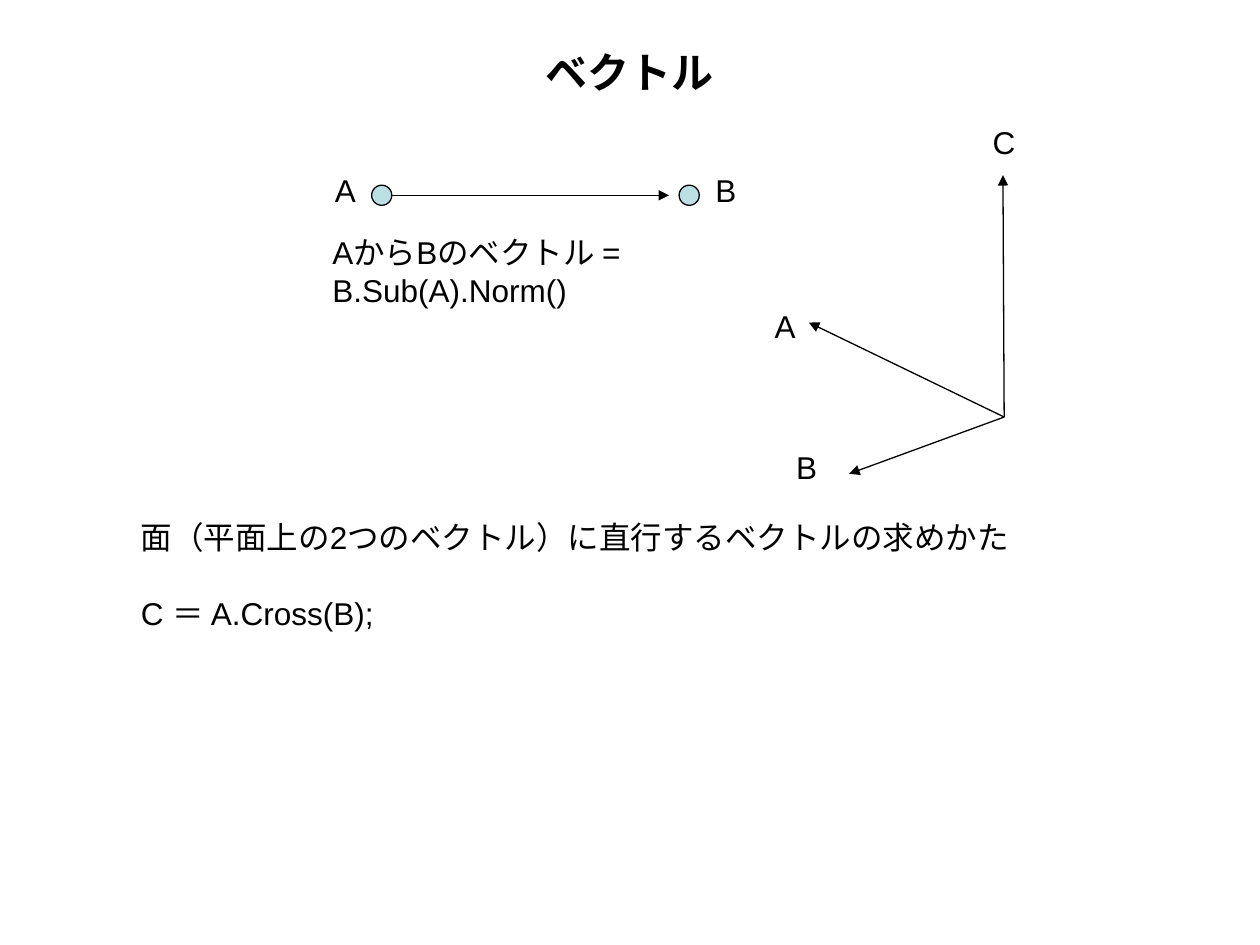
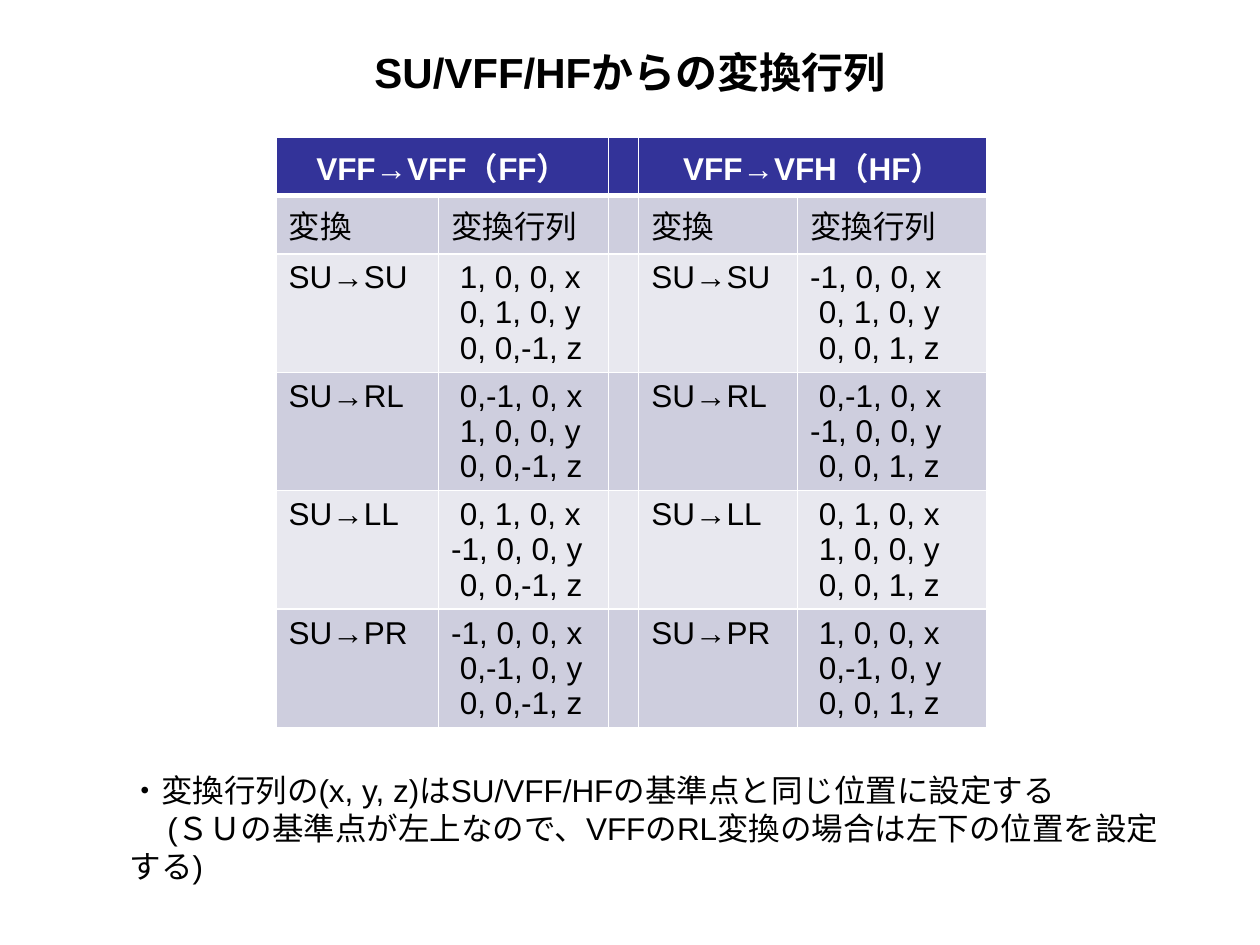
from dataclasses import dataclass

from lxml.etree import SubElement
from pptx import Presentation
from pptx.dml.color import RGBColor
from pptx.enum.shapes import MSO_CONNECTOR, MSO_SHAPE
from pptx.enum.text import MSO_ANCHOR, PP_ALIGN
from pptx.oxml.ns import qn
from pptx.slide import Slide
from pptx.table import Table, _Cell
from pptx.text.text import TextFrame, _Paragraph
from pptx.util import Inches, Length, Pt

FONT = "Arial"
BLACK, WHITE, POINT_FILL = "000000", "FFFFFF", "BBE0E3"
HEADER_FILL, BAND_FILLS = "333399", ("CECEDE", "E8E8EF")
TITLE_SIZE, BODY_SIZE = 24, 18
COLUMNS, ROWS = 100, 75
CELL = Inches(0.1)

Matrix = tuple[tuple[int, int, int], ...]


@dataclass(frozen=True)
class Box:
    """A place on the slide in grid columns and rows."""
    col: float
    row: float
    cols: float
    rows: float

    def emu(self) -> tuple[Length, ...]:
        return tuple(map(grid, (self.col, self.row, self.cols, self.rows)))


@dataclass(frozen=True)
class Label:
    text: str
    col: float
    row: float


@dataclass(frozen=True)
class Arrow:
    start: tuple[float, float]
    end: tuple[float, float]


@dataclass(frozen=True)
class Conversion:
    name: str
    ff: Matrix
    hf: Matrix


TITLE_BOX = Box(5, 3, 90, 5.4)

POINTS = ((29.5, 14.7), (53.9, 14.7))
POINT_SIZE = 1.6
ORIGIN = (79.7, 33.1)
ARROWS = (
    Arrow((30.3, 15.5), (53.1, 15.5)),
    Arrow(ORIGIN, (79.6, 13.9)),
    Arrow(ORIGIN, (67.4, 37.6)),
    Arrow(ORIGIN, (64.2, 25.6)),
)
LABELS = (
    Label("A", 25.6, 13.1),
    Label("B", 55.8, 13.1),
    Label("A", 60.5, 23.9),
    Label("B", 62.2, 35.1),
    Label("C", 77.8, 9.3),
)

TABLE_BOX = Box(21.9, 10.9, 56.3, 46.6)
TABLE_COLS = (12.9, 13.5, 2.3, 12.6, 15)
SHORT_ROW, MATRIX_ROW = 4.5, 9.4
GROUPS = {0: "VFF→VFF（FF）", 3: "VFF→VFH（HF）"}
CONVERSIONS = (
    Conversion("SU→SU", ((1, 0, 0), (0, 1, 0), (0, 0, -1)),
               ((-1, 0, 0), (0, 1, 0), (0, 0, 1))),
    Conversion("SU→RL", ((0, -1, 0), (1, 0, 0), (0, 0, -1)),
               ((0, -1, 0), (-1, 0, 0), (0, 0, 1))),
    Conversion("SU→LL", ((0, 1, 0), (-1, 0, 0), (0, 0, -1)),
               ((0, 1, 0), (1, 0, 0), (0, 0, 1))),
    Conversion("SU→PR", ((-1, 0, 0), (0, -1, 0), (0, 0, -1)),
               ((1, 0, 0), (0, -1, 0), (0, 0, 1))),
)


def grid(units: float) -> Length:
    return Length(round(units * CELL))


def color(value: str) -> RGBColor:
    return RGBColor.from_string(value)


def style(p: _Paragraph, size: int = BODY_SIZE, ink: str = BLACK,
          bold: bool = False, align: PP_ALIGN = PP_ALIGN.LEFT) -> None:
    p.alignment = align
    p.font.name, p.font.size, p.font.bold = FONT, Pt(size), bold
    p.font.color.rgb = color(ink)


def write(tf: TextFrame, text: str, **look) -> None:
    """Fill the frame with one styled paragraph per line of text."""
    tf.text = text
    for p in tf.paragraphs:
        style(p, **look)


def add_titled_slide(prs: Presentation, title: str) -> Slide:
    s = prs.slides.add_slide(prs.slide_layouts[5])
    sp = s.shapes.title
    sp.left, sp.top, sp.width, sp.height = TITLE_BOX.emu()
    sp.text_frame.vertical_anchor = MSO_ANCHOR.MIDDLE
    write(sp.text_frame, title, size=TITLE_SIZE, bold=True,
          align=PP_ALIGN.CENTER)
    return s


def add_text(s: Slide, box: Box, text: str, wrap: bool = True) -> TextFrame:
    tf = s.shapes.add_textbox(*box.emu()).text_frame
    tf.word_wrap = wrap
    write(tf, text)
    return tf


def add_arrow(s: Slide, arrow: Arrow) -> None:
    ends = map(grid, (*arrow.start, *arrow.end))
    cxn = s.shapes.add_connector(MSO_CONNECTOR.STRAIGHT, *ends)
    cxn.line.color.rgb = color(BLACK)
    cxn.line.width = Pt(0.75)
    SubElement(cxn.line._get_or_add_ln(), qn("a:tailEnd"), type="triangle")
    SubElement(cxn._element.spPr, qn("a:effectLst"))


def add_point(s: Slide, col: float, row: float) -> None:
    box = Box(col, row, POINT_SIZE, POINT_SIZE)
    sp = s.shapes.add_shape(MSO_SHAPE.OVAL, *box.emu())
    sp.shadow.inherit = False
    sp.fill.solid()
    sp.fill.fore_color.rgb = color(POINT_FILL)
    sp.line.color.rgb = color(BLACK)
    sp.line.width = Pt(0.75)


def paint_cell(cell: _Cell, fill: str, top: float, bottom: float) -> None:
    """Give the cell white borders, with widths in points, and a fill."""
    tc_pr = cell._tc.get_or_add_tcPr()
    for side, width in {"L": 1, "R": 1, "T": top, "B": bottom}.items():
        ln = SubElement(tc_pr, qn(f"a:ln{side}"), w=str(Pt(width)))
        solid = SubElement(ln, qn("a:solidFill"))
        SubElement(solid, qn("a:srgbClr"), val=WHITE)
    cell.fill.solid()
    cell.fill.fore_color.rgb = color(fill)


def matrix_text(matrix: Matrix) -> str:
    return "\n".join(f"{a:2},{b:2},{c:2}, {axis}"
                     for (a, b, c), axis in zip(matrix, "xyz"))


def paint_table(table: Table) -> None:
    for i in range(len(table.rows)):
        fill = BAND_FILLS[(i - 1) % 2] if i else HEADER_FILL
        for j in range(len(table.columns)):
            paint_cell(table.cell(i, j), fill, top=3 if i == 1 else 1,
                       bottom=1 if i else 3)


def add_conversion_table(s: Slide) -> None:
    body = [("変換", "変換行列", "", "変換", "変換行列")]
    body += [(c.name, matrix_text(c.ff), "", c.name, matrix_text(c.hf))
             for c in CONVERSIONS]
    table = s.shapes.add_table(len(body) + 1, len(TABLE_COLS),
                               *TABLE_BOX.emu()).table
    table.first_row = table.horz_banding = False
    for column, width in zip(table.columns, TABLE_COLS):
        column.width = grid(width)
    for i, row in enumerate(table.rows):
        row.height = grid(SHORT_ROW if i < 2 else MATRIX_ROW)
    paint_table(table)
    for j, name in GROUPS.items():
        table.cell(0, j).merge(table.cell(0, j + 1))
        write(table.cell(0, j).text_frame, name, ink=WHITE, bold=True,
              align=PP_ALIGN.CENTER)
    for i, texts in enumerate(body, start=1):
        for j, text in enumerate(texts):
            write(table.cell(i, j).text_frame, text)


def build_vector_slide(prs: Presentation) -> None:
    s = add_titled_slide(prs, "ベクトル")
    for arrow in ARROWS:
        add_arrow(s, arrow)
    for point in POINTS:
        add_point(s, *point)
    for label in LABELS:
        add_text(s, Box(label.col, label.row, 3.7, 4), label.text, wrap=False)
    add_text(s, Box(25.4, 18, 42.3, 4), "AからBのベクトル = B.Sub(A).Norm()")
    tf = add_text(s, Box(10.2, 40.6, 79.5, 22.2),
                  "面（平面上の2つのベクトル）に直行するベクトルの求めかた\n"
                  "C ＝ A.Cross(B);")
    tf.paragraphs[1].space_before = Pt(21.7)


def build_matrix_slide(prs: Presentation) -> None:
    s = add_titled_slide(prs, "SU/VFF/HFからの変換行列")
    add_conversion_table(s)
    tf = add_text(s, Box(9.3, 60.7, 85.7, 7.1),
                  "・変換行列の(x, y, z)はSU/VFF/HFの基準点と同じ位置に設定する\n"
                  "(ＳＵの基準点が左上なので、VFFのRL変換の場合は"
                  "左下の位置を設定する)")
    tf.paragraphs[1]._p.get_or_add_pPr().set("indent", str(grid(3)))


def main() -> None:
    prs = Presentation()
    prs.slide_width, prs.slide_height = grid(COLUMNS), grid(ROWS)
    build_vector_slide(prs)
    build_matrix_slide(prs)
    prs.save("out.pptx")


if __name__ == "__main__":
    main()
